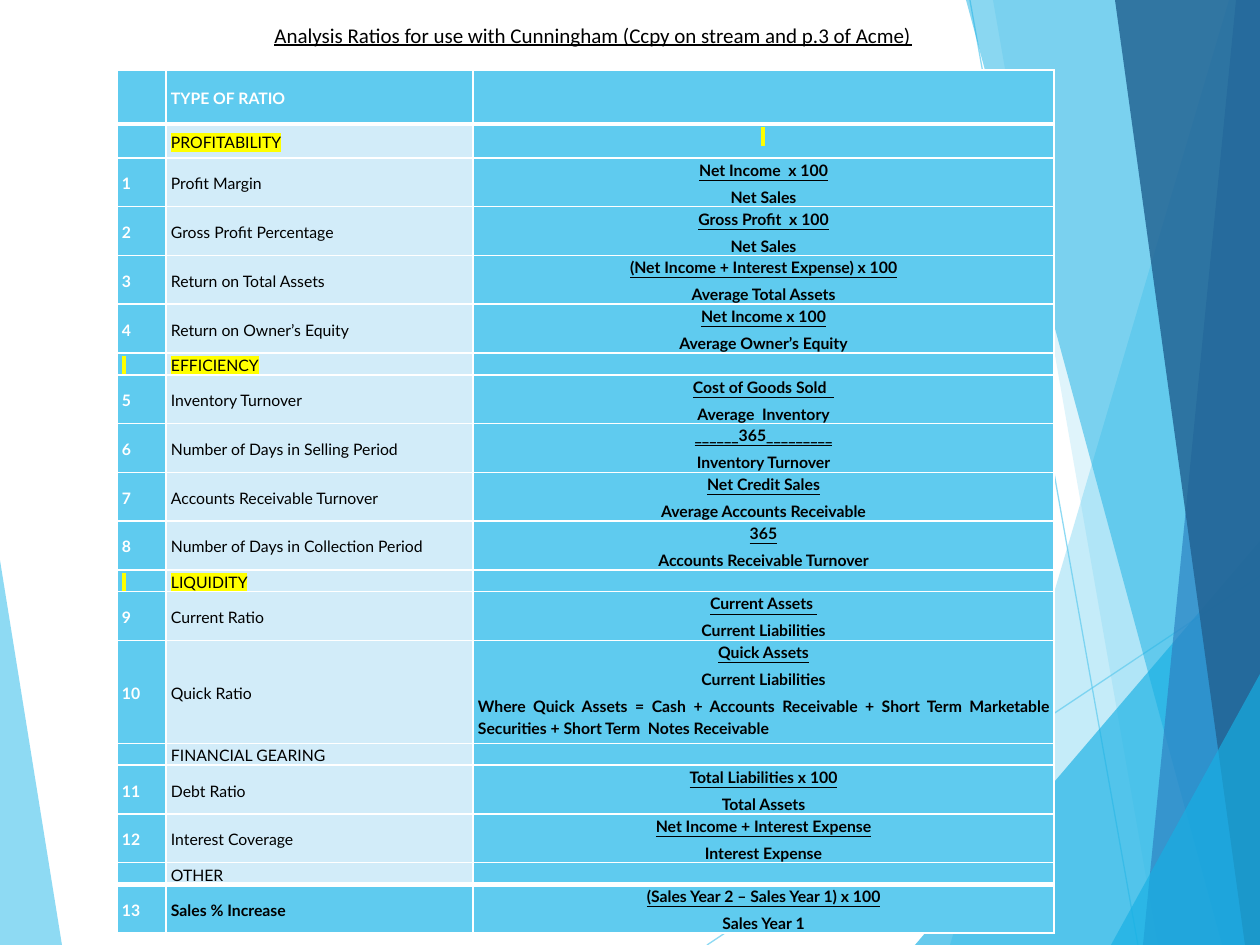
from dataclasses import dataclass

from lxml.etree import SubElement
from pptx import Presentation
from pptx.dml.color import RGBColor
from pptx.enum.shapes import MSO_CONNECTOR
from pptx.enum.text import MSO_ANCHOR, PP_ALIGN
from pptx.oxml.ns import qn
from pptx.util import Emu, Pt

SCALE = 914400 / 126
WIDE, HIGH = 1260, 945


@dataclass(frozen=True)
class Theme:
    """Colours, fonts and type sizes of the slide."""
    sky: str = "5FCBEF"
    pale: str = "D2ECF9"
    cyan: str = "17B0E4"
    blue: str = "2E83C3"
    navy: str = "226292"
    white: str = "FFFFFF"
    black: str = "000000"
    mark: str = "FFFF00"
    face: str = "Lato"
    head: str = "Calibri"
    small: int = 9
    large: int = 12


LOOK = Theme()
TITLE = "Analysis Ratios for use with Cunningham (Ccpy on stream and p.3 of Acme)"
QUICK = ("Where Quick Assets = Cash + Accounts Receivable + Short Term Marketable "
         "Securities + Short Term  Notes Receivable")
LINES = [((707, HIGH), (WIDE, 576)), ((970, 0), (1138, HIGH))]
LEFT = ([(0, 560), (62, HIGH), (0, HIGH)], LOOK.sky, 70)
SHARDS = [
    ([(1229, 0), (950, HIGH), (WIDE, HIGH), (WIDE, 0)], LOOK.sky, 36),
    ([(993, 0), (1158, HIGH), (WIDE, HIGH), (WIDE, 0)], LOOK.sky, 20),
    ([(915, HIGH), (WIDE, 541), (WIDE, HIGH)], LOOK.cyan, 66),
    ([(966, 0), (1222, HIGH), (WIDE, HIGH), (WIDE, 0)], LOOK.cyan, 50),
    ([(1236, 0), (1143, HIGH), (WIDE, HIGH), (WIDE, 0)], LOOK.blue, 70),
    ([(1115, 0), (1245, HIGH), (WIDE, HIGH), (WIDE, 0)], LOOK.navy, 82),
    ([(1111, HIGH), (WIDE, 674), (WIDE, HIGH)], LOOK.cyan, 66),
]
COLS = [49, 307, 581]
GROUPS = [
    ("PROFITABILITY", 34, [
        ("Profit Margin", "Net Income  x 100", "Net Sales"),
        ("Gross Profit Percentage", "Gross Profit  x 100", "Net Sales"),
        ("Return on Total Assets", "(Net Income + Interest Expense) x 100",
         "Average Total Assets"),
        ("Return on Owner’s Equity", "Net Income x 100", "Average Owner’s Equity")]),
    ("EFFICIENCY", 21, [
        ("Inventory Turnover", "Cost of Goods Sold  ", "Average  Inventory"),
        ("Number of Days in Selling Period", "______365_________",
         "Inventory Turnover"),
        ("Accounts Receivable Turnover", "Net Credit Sales",
         "Average Accounts Receivable"),
        ("Number of Days in Collection Period", "365",
         "Accounts Receivable Turnover")]),
    ("LIQUIDITY", 21, [
        ("Current Ratio", "Current Assets ", "Current Liabilities"),
        ("Quick Ratio", "Quick Assets", "Current Liabilities", QUICK)]),
    ("FINANCIAL GEARING", 21, [
        ("Debt Ratio", "Total Liabilities x 100", "Total Assets"),
        ("Interest Coverage", "Net Income + Interest Expense",
         "Interest Expense")]),
    ("OTHER", 21, [
        ("Sales % Increase", "(Sales Year 2 – Sales Year 1) x 100",
         "Sales Year 1")]),
]
BARS = {"PROFITABILITY": 2, "EFFICIENCY": 0, "LIQUIDITY": 0}


def px(size):
    """Turn px into EMU."""
    return Emu(round(size * SCALE))


def rgb(code):
    """Make a colour from its hex code."""
    return RGBColor.from_string(code)


def fade(part, alpha):
    """Make the solid colour within an element see-through."""
    tone = next(part.iter(qn("a:srgbClr")))
    SubElement(tone, qn("a:alpha"), val=str(alpha * 1000))


def add_shard(slide, dots, color, alpha):
    """Draw one see-through polygon."""
    pen = slide.shapes.build_freeform(*dots[0], scale=SCALE)
    pen.add_line_segments(dots[1:], close=True)
    shard = pen.convert_to_shape()
    shard.shadow.inherit = False
    shard.fill.solid()
    shard.fill.fore_color.rgb = rgb(color)
    shard.line.fill.background()
    fade(shard.fill._xPr, alpha)


def add_line(slide, start, end):
    """Draw one thin background line."""
    line = slide.shapes.add_connector(
        MSO_CONNECTOR.STRAIGHT, *map(px, start + end))
    line.line.color.rgb = rgb(LOOK.sky)
    line.line.width = Pt(0.75)
    fade(line.line._ln, 70)
    SubElement(line._element.spPr, qn("a:effectLst"))


def style(run, face, size, color, bold=False, under=False, mark=False):
    """Format one run."""
    font = run.font
    font.size, font.bold, font.underline = Pt(size), bold, under
    font.color.rgb = rgb(color)
    if mark:
        glow = SubElement(run._r.get_or_add_rPr(), qn("a:highlight"))
        SubElement(glow, qn("a:srgbClr"), val=LOOK.mark)
    font.name = face


def add_title(slide):
    """Place the underlined title."""
    box = slide.shapes.add_textbox(px(262), px(16), px(674), px(75))
    frame = box.text_frame
    frame.word_wrap = True
    frame.text = TITLE
    style(frame.paragraphs[0].runs[0], LOOK.head, LOOK.large, LOOK.black, under=True)


def edge(cell, top=1, base=1):
    """Give a cell white borders."""
    props = cell._tc.get_or_add_tcPr()
    for side, width in (("L", 1), ("R", 1), ("T", top), ("B", base)):
        line = SubElement(props, qn(f"a:ln{side}"), w=str(Pt(width)))
        SubElement(SubElement(line, qn("a:solidFill")), qn("a:srgbClr"), val=LOOK.white)


def dress(cell, color, top=1, base=1):
    """Set the borders, fill and margins of a cell."""
    edge(cell, top, base)
    cell.fill.solid()
    cell.fill.fore_color.rgb = rgb(color)
    cell.margin_left = cell.margin_right = px(5)
    cell.margin_top = cell.margin_bottom = 0
    small = SubElement(cell.text_frame.paragraphs[0]._p, qn("a:endParaRPr"))
    small.set("sz", str(LOOK.small * 100))


def write(cell, texts, align=PP_ALIGN.JUSTIFY, middle=True, color=LOOK.black, **marks):
    """Fill a cell with paragraphs of one style."""
    frame = cell.text_frame
    frame.text = "\n".join(texts)
    cell.vertical_anchor = MSO_ANCHOR.MIDDLE if middle else MSO_ANCHOR.TOP
    for para in frame.paragraphs:
        para.alignment = align
        para.line_spacing, para.space_after = 1.15, Pt(3)
        style(para.runs[0], LOOK.face, LOOK.small, color, **marks)


def write_ratio(cells, count, ratio, last):
    """Fill one numbered row with its ratio."""
    name, *terms = ratio
    write(cells[0], [str(count)], color=LOOK.white, bold=True)
    write(cells[1], [name], bold=last)
    write(cells[2], terms, PP_ALIGN.CENTER, False, bold=True)
    paras = cells[2].text_frame.paragraphs
    paras[0].runs[0].font.underline = True
    for note in paras[2:]:
        note.alignment = PP_ALIGN.JUSTIFY


def write_group(cells, name):
    """Fill one row that names a group."""
    write(cells[1], [name], mark=name in BARS)
    if name in BARS:
        spot = BARS[name]
        align = PP_ALIGN.CENTER if spot else PP_ALIGN.JUSTIFY
        write(cells[spot], [" "], align, not spot, mark=True)


def add_ratios(slide):
    """Build the table of ratios."""
    rows = [(54, None)]
    for name, tall, group in GROUPS:
        rows.append((tall, name))
        rows += [(103 if len(ratio) > 3 else 48, ratio) for ratio in group]
    frame = slide.shapes.add_table(len(rows), len(COLS), px(117), px(70),
                                   px(sum(COLS)), px(sum(tall for tall, _ in rows)))
    table = frame.table
    for col, width in zip(table.columns, COLS):
        col.width = px(width)
    count, end = 0, len(rows) - 1
    for index, (tall, item) in enumerate(rows):
        table.rows[index].height = px(tall)
        cells = list(table.rows[index].cells)
        for spot, cell in enumerate(cells):
            pale = spot == 1 and 0 < index < end
            dress(cell, LOOK.pale if pale else LOOK.sky,
                  3 if index in (1, end) else 1, 3 if index in (0, end - 1) else 1)
        if item is None:
            write(cells[1], ["TYPE OF RATIO"], color=LOOK.white, bold=True)
        elif isinstance(item, str):
            write_group(cells, item)
        else:
            count += 1
            write_ratio(cells, count, item, index == end)


def main():
    """Build and save the slide."""
    deck = Presentation()
    deck.slide_width, deck.slide_height = px(WIDE), px(HIGH)
    slide = deck.slides.add_slide(deck.slide_layouts[6])
    add_shard(slide, *LEFT)
    for ends in LINES:
        add_line(slide, *ends)
    for shard in SHARDS:
        add_shard(slide, *shard)
    add_ratios(slide)
    add_title(slide)
    deck.save("out.pptx")


if __name__ == "__main__":
    main()
